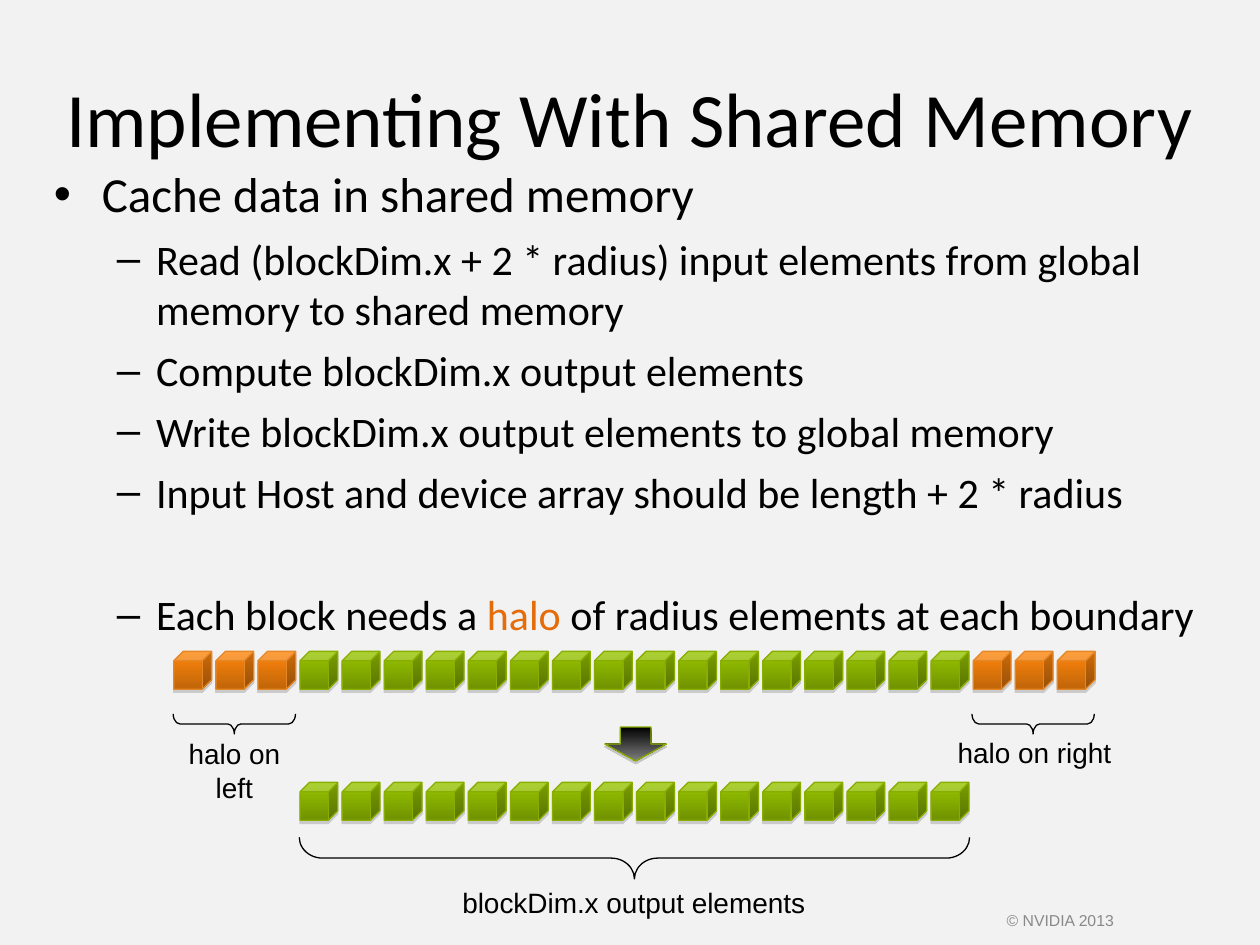
import pptx
import pptx.dml.color
import pptx.enum.shapes
import pptx.enum.text
import pptx.oxml
import pptx.oxml.ns
import pptx.util

Inches = pptx.util.Inches
Pt = pptx.util.Pt
RGB = pptx.dml.color.RGBColor.from_string
MSO = pptx.enum.shapes.MSO_SHAPE
CENTER = pptx.enum.text.PP_ALIGN.CENTER
MIDDLE = pptx.enum.text.MSO_ANCHOR.MIDDLE
AUTO = pptx.enum.text.MSO_AUTO_SIZE
NS = pptx.oxml.ns.nsdecls("a")

COLORS = {
    "background": "F2F2F2", "text": "000000", "halo_text": "E46C0A", "footer": "898989",
    "green_top": "98C600", "green_bottom": "709200", "green_line": "89AD00",
    "orange_top": "FF860C", "orange_bottom": "C06509", "orange_line": "E68727",
    "arrow_top": "000000", "arrow_bottom": "7F7F7F", "shadow": "808080",
}


def add_run(p, text, color, **values):
    r = p.add_run()
    r.text = text
    for name, value in values.items():
        setattr(r.font, name, value)
    r.font.color.rgb = RGB(COLORS[color])


def add_solid(shapes, kind, box, fill, line, alpha, dist):
    sp = shapes.add_shape(kind, *[Inches(v) for v in box])
    sp.fill.gradient()
    sp.fill.gradient_angle = 270
    for stop, end in zip(sp.fill.gradient_stops, ("top", "bottom")):
        stop.color.rgb = RGB(COLORS[f"{fill}_{end}"])
    sp.line.color.rgb = RGB(COLORS[line])
    sp.line.width = Pt(0.75)
    sp.shadow.inherit = False
    effects = sp._element.spPr.find(pptx.oxml.ns.qn("a:effectLst"))
    effects.append(pptx.oxml.parse_xml(
        f'<a:outerShdw {NS} blurRad="0" dist="{Pt(dist)}" dir="5400000" rotWithShape="0">'
        f'<a:srgbClr val="{COLORS["shadow"]}"><a:alpha val="{alpha * 1000}"/></a:srgbClr>'
        '</a:outerShdw>'))


prs = pptx.Presentation()
prs.slide_width, prs.slide_height = Inches(10), Inches(7.5)
s = prs.slides.add_slide(prs.slide_layouts[5])
s.background.fill.solid()
s.background.fill.fore_color.rgb = RGB(COLORS["background"])

sp = s.shapes.title
sp.left, sp.top, sp.width, sp.height = [Inches(v) for v in (0.25, 0.3, 9.5, 1.25)]
tf = sp.text_frame
for name, value in {"word_wrap": True, "auto_size": AUTO.NONE, "vertical_anchor": MIDDLE}.items():
    setattr(tf, name, value)
p = tf.paragraphs[0]
p.alignment = CENTER
add_run(p, "Implementing With Shared Memory", "text", name="Calibri", size=Pt(44))

bullets = [
    (0, 0, [("Cache data in shared memory", "text")]),
    (1, 6, [("Read (blockDim.x + 2 * radius) input elements from global memory to shared memory",
             "text")]),
    (1, 6, [("Compute blockDim.x output elements", "text")]),
    (1, 6, [("Write blockDim.x output elements to global memory", "text")]),
    (1, 6, [("Input Host and device array should be length + 2 * radius", "text")]),
    (1, 41, [("Each block needs a ", "text"), ("halo ", "halo_text"),
             ("of radius elements at each boundary", "text")]),
]
levels = [("•", 0.38, -0.38, 28), ("–", 0.81, -0.31, 24)]
tf = s.shapes.add_textbox(Inches(0.33), Inches(1.25), Inches(9.39), Inches(5.61)).text_frame
tf.word_wrap = True
for i, (level, before, runs) in enumerate(bullets):
    mark, margin, indent, size = levels[level]
    p = tf.paragraphs[0] if i == 0 else tf.add_paragraph()
    p.level = level
    p.space_before = Pt(before)
    pPr = p._p.get_or_add_pPr()
    pPr.set("marL", str(Inches(margin)))
    pPr.set("indent", str(Inches(indent)))
    for xml in (f'<a:buClr {NS}><a:srgbClr val="{COLORS["text"]}"/></a:buClr>',
                f'<a:buFont {NS} typeface="Arial"/>',
                f'<a:buChar {NS} char="{mark}"/>'):
        pPr.append(pptx.oxml.parse_xml(xml))
    for text, color in runs:
        add_run(p, text, color, name="Calibri", size=Pt(size))

row_left, cube = 1.38, 0.3
pitch = (7.39 - row_left) / 18
halo, block = 3, 16
rows = [
    (6.21, "green", range(halo, halo + block)),
    (5.17, "green", range(halo, halo + block)),
    (5.17, "orange", range(halo + block, halo + block + halo)),
    (5.17, "orange", range(halo)),
]
for top, color, columns in rows:
    group = s.shapes.add_group_shape()
    for column in columns:
        add_solid(group.shapes, MSO.CUBE, (row_left + column * pitch, top, cube, cube),
                  color, f"{color}_line", 35, 1.8)

add_solid(s.shapes, MSO.DOWN_ARROW, (4.8, 5.77, 0.49, 0.27), "arrow", "green_line", 38, 1.6)

braces = [(4.87, 4.15, 0.33, 5.32, 0.56), (1.78, 5.26, 0.16, 0.97, 0.33),
          (8.12, 5.26, 0.16, 0.97, 0.33)]
for *box, curve in braces:
    sp = s.shapes.add_shape(MSO.LEFT_BRACE, *[Inches(v) for v in box])
    sp.rotation = 270
    sp.adjustments[0] = curve
    sp.fill.background()
    sp.line.color.rgb = RGB(COLORS["text"])
    sp.line.width = Pt(0.75)
    sp.shadow.inherit = False

labels = [
    ("blockDim.x output elements", (3.57, 6.98, 2.92, 0.37), 16, "text", {"word_wrap": False}),
    ("halo on left", (1.22, 5.8, 1.28, 0.37), 16, "text", {"word_wrap": False}),
    ("halo on right", (7.5, 5.79, 1.42, 0.37), 16, "text", {"word_wrap": False}),
    ("© NVIDIA 2013", (6.83, 7.1, 3.17, 0.4), 9, "footer",
     {"word_wrap": True, "vertical_anchor": MIDDLE}),
]
for text, box, size, color, frame in labels:
    tf = s.shapes.add_textbox(*[Inches(v) for v in box]).text_frame
    for name, value in frame.items():
        setattr(tf, name, value)
    p = tf.paragraphs[0]
    p.alignment = CENTER
    add_run(p, text, color, name="Arial", size=Pt(size))

prs.save("out.pptx")
